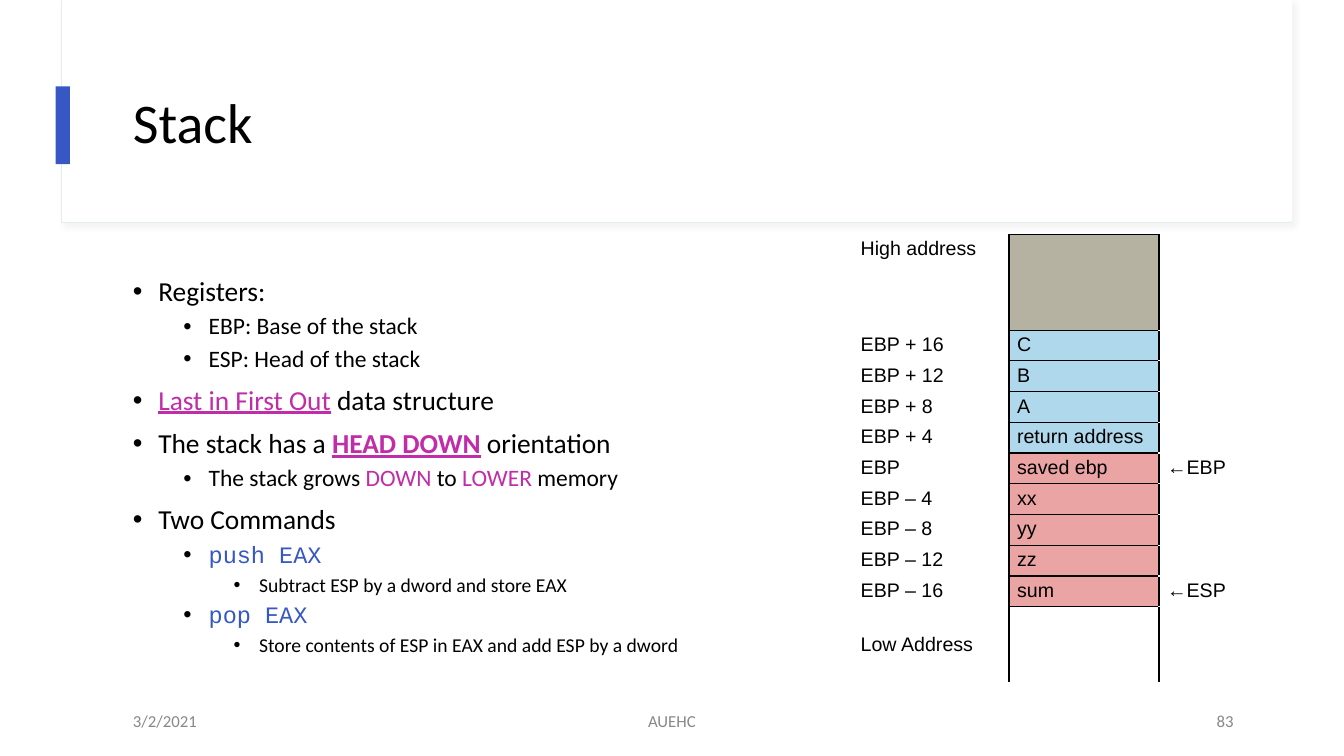
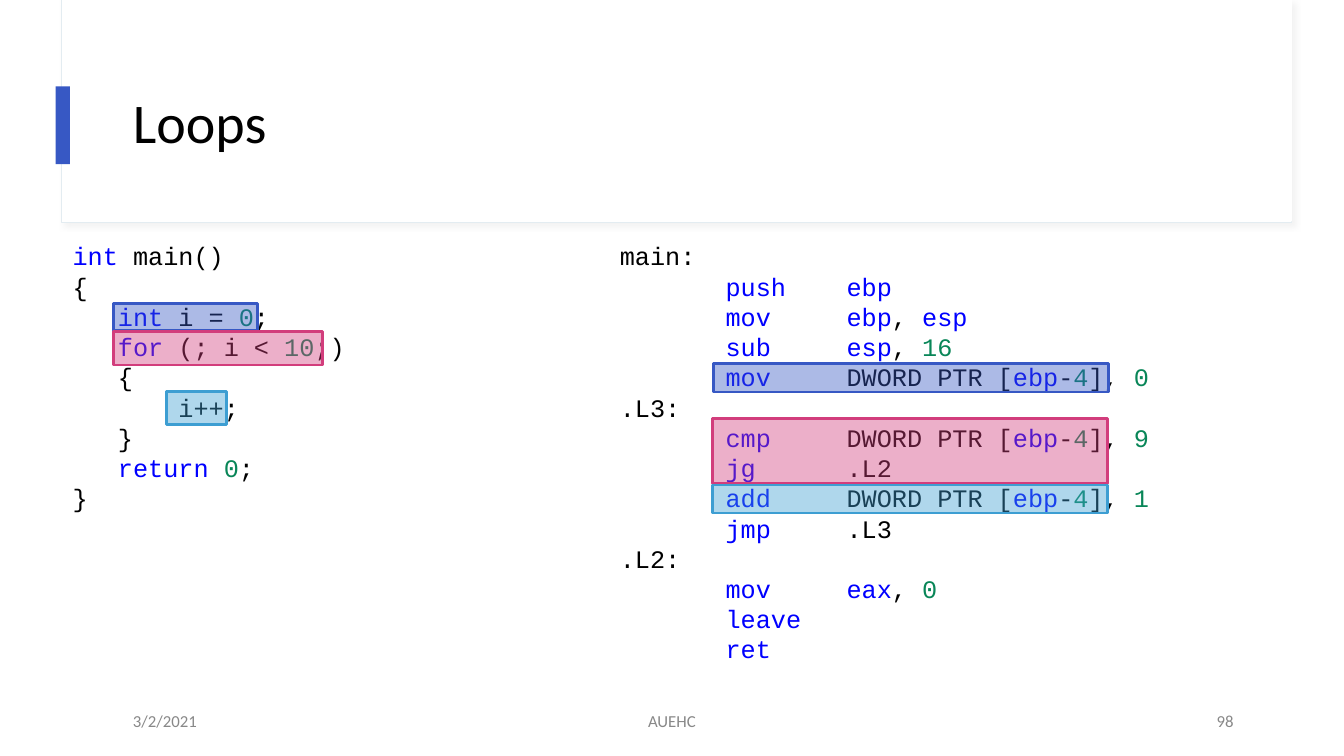
"""Build two lecture slides on the stack and on loops."""
import itertools

import pptx
import pptx.dml.color
import pptx.enum.shapes
import pptx.enum.text
import pptx.oxml
import pptx.oxml.ns
import pptx.util
from lxml import etree

Cm = pptx.util.Cm
Pt = pptx.util.Pt
RGB = pptx.dml.color.RGBColor
Align = pptx.enum.text.PP_ALIGN
Anchor = pptx.enum.text.MSO_ANCHOR
qn = pptx.oxml.ns.qn

BLACK = RGB(0x00, 0x00, 0x00)
WHITE = RGB(0xFF, 0xFF, 0xFF)
GRAY = RGB(0x88, 0x88, 0x88)
EDGE = RGB(0xE3, 0xEC, 0xF1)
SHADE = RGB(0xD8, 0xD8, 0xD8)
BLUE = RGB(0x37, 0x58, 0xC4)
PINK = RGB(0xD2, 0x3D, 0x7C)
SKY = RGB(0x3D, 0x9E, 0xD2)
PURPLE = RGB(0xC1, 0x2C, 0xA8)
STONE = RGB(0xB5, 0xB2, 0xA2)
PALE = RGB(0xB0, 0xD8, 0xEC)
ROSE = RGB(0xEB, 0xA4, 0xA4)
KEY = RGB(0x00, 0x00, 0xFF)
DIGIT = RGB(0x09, 0x86, 0x58)

SANS = "Calibri"
MONO = "Courier New"
GRID = "Arial"
SIZES = (19.6, 16.8, 14)

WORDS = set("int for return push mov sub cmp jg add jmp leave ret ebp esp eax".split())

POINTS = [
    (0, ["Registers:"]),
    (1, ["EBP: Base of the stack"]),
    (1, ["ESP: Head of the stack"]),
    (0, [("Last in First Out", "u"), " data structure"]),
    (0, ["The stack has a ", ("HEAD DOWN", "bu"), " orientation"]),
    (1, ["The stack grows ", ("DOWN", ""), " to ", ("LOWER", ""), " memory"]),
    (0, ["Two Commands"]),
    (1, "push EAX"),
    (2, ["Subtract ESP by a dword and store EAX"]),
    (1, "pop EAX"),
    (2, ["Store contents of ESP in EAX and add ESP by a dword"]),
]

STACK = [
    ("High address", "", "", STONE),
    ("EBP + 16", "C", "", PALE),
    ("EBP + 12", "B", "", PALE),
    ("EBP + 8", "A", "", PALE),
    ("EBP + 4", "return address", "", PALE),
    ("EBP", "saved ebp", "←EBP", ROSE),
    ("EBP – 4", "xx", "", ROSE),
    ("EBP – 8", "yy", "", ROSE),
    ("EBP – 12", "zz", "", ROSE),
    ("EBP – 16", "sum", "←ESP", ROSE),
    ("Low Address", "", "", None),
]

SOURCE = """int main()
{
   int i = 0;
   for (; i < 10;)
   {
       i++;
   }
   return 0;
}"""

ASSEMBLY = """main:
       push    ebp
       mov     ebp, esp
       sub     esp, 16
       mov     DWORD PTR [ebp-4], 0
.L3:
       cmp     DWORD PTR [ebp-4], 9
       jg      .L2
       add     DWORD PTR [ebp-4], 1
       jmp     .L3
.L2:
       mov     eax, 0
       leave
       ret"""

MARKS = [
    (BLUE, 2.87, 7.65, 3.63, 0.69),
    (BLUE, 17.98, 9.17, 9.96, 0.71),
    (PINK, 2.87, 8.36, 5.26, 0.84),
    (PINK, 17.96, 10.54, 9.96, 1.65),
    (SKY, 4.19, 9.86, 1.52, 0.84),
    (SKY, 17.96, 12.22, 9.96, 0.71),
]


class Deck:
    def __init__(self):
        self.file = pptx.Presentation()
        self.file.slide_width = Cm(33.87)
        self.file.slide_height = Cm(19.05)
        self.slide = None

    def add(self, title, number):
        self.slide = self.file.slides.add_slide(self.file.slide_layouts[6])
        card = self.rect(1.55, 0, 31, 5.61, WHITE, EDGE, 0.75)
        self.shadow(card)
        self.rect(1.58, 0, 30.98, 5.58, WHITE)
        self.rect(1.4, 2.18, 0.36, 1.96, BLUE)
        self.label(title, 3.1, 1.52, 28.24, 3.28, 40, BLACK).line_spacing = 0.9
        for text, left, width, align in (
            ("3/2/2021", 3.1, 7.62, Align.LEFT),
            ("AUEHC", 11.22, 11.43, Align.CENTER),
            (number, 23.72, 7.62, Align.RIGHT),
        ):
            self.label(text, left, 17.65, width, 1.02, 12, GRAY).alignment = align

    def rect(self, left, top, width, height, fill, line=None, weight=1):
        shape = self.slide.shapes.add_shape(
            pptx.enum.shapes.MSO_SHAPE.RECTANGLE, Cm(left), Cm(top), Cm(width), Cm(height))
        shape.shadow.inherit = False
        shape.fill.solid()
        shape.fill.fore_color.rgb = fill
        if line is None:
            shape.line.fill.background()
        else:
            shape.line.color.rgb = line
            shape.line.width = Pt(weight)
        return shape

    def shadow(self, shape):
        effects = shape._element.spPr.find(qn("a:effectLst"))
        outer = etree.SubElement(effects, qn("a:outerShdw"), blurRad=str(Pt(4)),
                                 dist=str(Pt(3)), dir="2700000", algn="tl")
        color = etree.SubElement(outer, qn("a:srgbClr"), val=str(SHADE))
        etree.SubElement(color, qn("a:alpha"), val="30000")

    def mark(self, color, left, top, width, height):
        shape = self.rect(left, top, width, height, color, color, 2)
        tint = shape._element.spPr.find(qn("a:solidFill"))[0]
        etree.SubElement(tint, qn("a:alpha"), val="41000")

    def frame(self, left, top, width, height):
        box = self.slide.shapes.add_textbox(Cm(left), Cm(top), Cm(width), Cm(height))
        box.text_frame.word_wrap = True
        return box.text_frame

    def font(self, part, name, size, color):
        part.font.name = name
        part.font.size = Pt(size)
        part.font.color.rgb = color

    def label(self, text, left, top, width, height, size, color):
        frame = self.frame(left, top, width, height)
        frame.vertical_anchor = Anchor.MIDDLE
        para = frame.paragraphs[0]
        para.text = text
        self.font(para, SANS, size, color)
        return para

    def lines(self, frame, items):
        for index, item in enumerate(items):
            yield (frame.add_paragraph() if index else frame.paragraphs[0]), item

    def bullets(self, items, left, top, width, height):
        frame = self.frame(left, top, width, height)
        for para, (level, parts) in self.lines(frame, items):
            para.level = level
            para.line_spacing = 0.9
            if para._p is not frame.paragraphs[0]._p:
                para.space_before = Pt(5 if level else 10)
            props = para._p.get_or_add_pPr()
            props.set("marL", str(Cm(0.64 + 1.27 * level)))
            props.set("indent", str(Cm(-0.64)))
            color = etree.SubElement(props, qn("a:buClr"))
            etree.SubElement(color, qn("a:srgbClr"), val=str(BLACK))
            etree.SubElement(props, qn("a:buFont"), typeface=GRID)
            etree.SubElement(props, qn("a:buChar"), char="•")
            if isinstance(parts, str):
                para.text = parts
                self.font(para, MONO, SIZES[level], BLUE)
                continue
            self.font(para, SANS, SIZES[level], BLACK)
            for part in parts:
                run = para.add_run()
                if isinstance(part, str):
                    run.text = part
                    continue
                run.text, style = part
                run.font.color.rgb = PURPLE
                run.font.bold = "b" in style
                run.font.underline = "u" in style

    def code(self, text, left, top, width, height):
        frame = self.frame(left, top, width, height)
        for para, line in self.lines(frame, text.split("\n")):
            para.line_spacing = Pt(21.6)
            self.font(para, MONO, 18, BLACK)
            for _, group in itertools.groupby(line, str.isalnum):
                run = para.add_run()
                run.text = "".join(group)
                if run.text in WORDS:
                    run.font.color.rgb = KEY
                elif run.text.isdigit():
                    run.font.color.rgb = DIGIT

    def cell(self, cell, text, edges, fill):
        cell.margin_left = cell.margin_right = Cm(0.2)
        cell.margin_top = cell.margin_bottom = Cm(0.09)
        para = cell.text_frame.paragraphs[0]
        if text:
            para.text = text
            self.font(para, GRID, 14, BLACK)
        else:
            etree.SubElement(para._p, qn("a:endParaRPr"), sz="1000")
        props = cell._tc.get_or_add_tcPr()
        for edge in edges:
            line = etree.SubElement(props, qn("a:ln" + edge), w=str(Pt(1)))
            solid = etree.SubElement(line, qn("a:solidFill"))
            etree.SubElement(solid, qn("a:srgbClr"), val=str(BLACK))
        if fill is None:
            cell.fill.background()
        else:
            cell.fill.solid()
            cell.fill.fore_color.rgb = fill

    def table(self, rows, left, top, widths, heights):
        table = self.slide.shapes.add_table(
            len(rows), len(widths), Cm(left), Cm(top),
            Cm(sum(widths)), Cm(sum(heights))).table
        table.first_row = table.horz_banding = False
        for column, width in zip(table.columns, widths):
            column.width = Cm(width)
        for index, (name, value, note, fill) in enumerate(rows):
            table.rows[index].height = Cm(heights[index])
            sides = "LRTB" if fill else "LRT"
            self.cell(table.cell(index, 0), name, "R", None)
            self.cell(table.cell(index, 1), value, sides, fill)
            self.cell(table.cell(index, 2), note, "L", None)
        table.cell(len(rows) - 1, 0).vertical_anchor = Anchor.MIDDLE


def main():
    deck = Deck()
    deck.add("Stack", "83")
    deck.bullets(POINTS, 3.1, 6.88, 28.24, 10.26)
    deck.table(STACK, 21.49, 5.9, (3.94, 3.78, 3.94), [2.42] + [0.756] * 9 + [1.92])

    deck.add("Loops", "98")
    deck.code(SOURCE, 1.58, 5.94, 16.94, 7.19)
    deck.code(ASSEMBLY, 15.37, 5.94, 16.94, 11.02)
    for mark in MARKS:
        deck.mark(*mark)
    deck.file.save("out.pptx")


if __name__ == "__main__":
    main()
